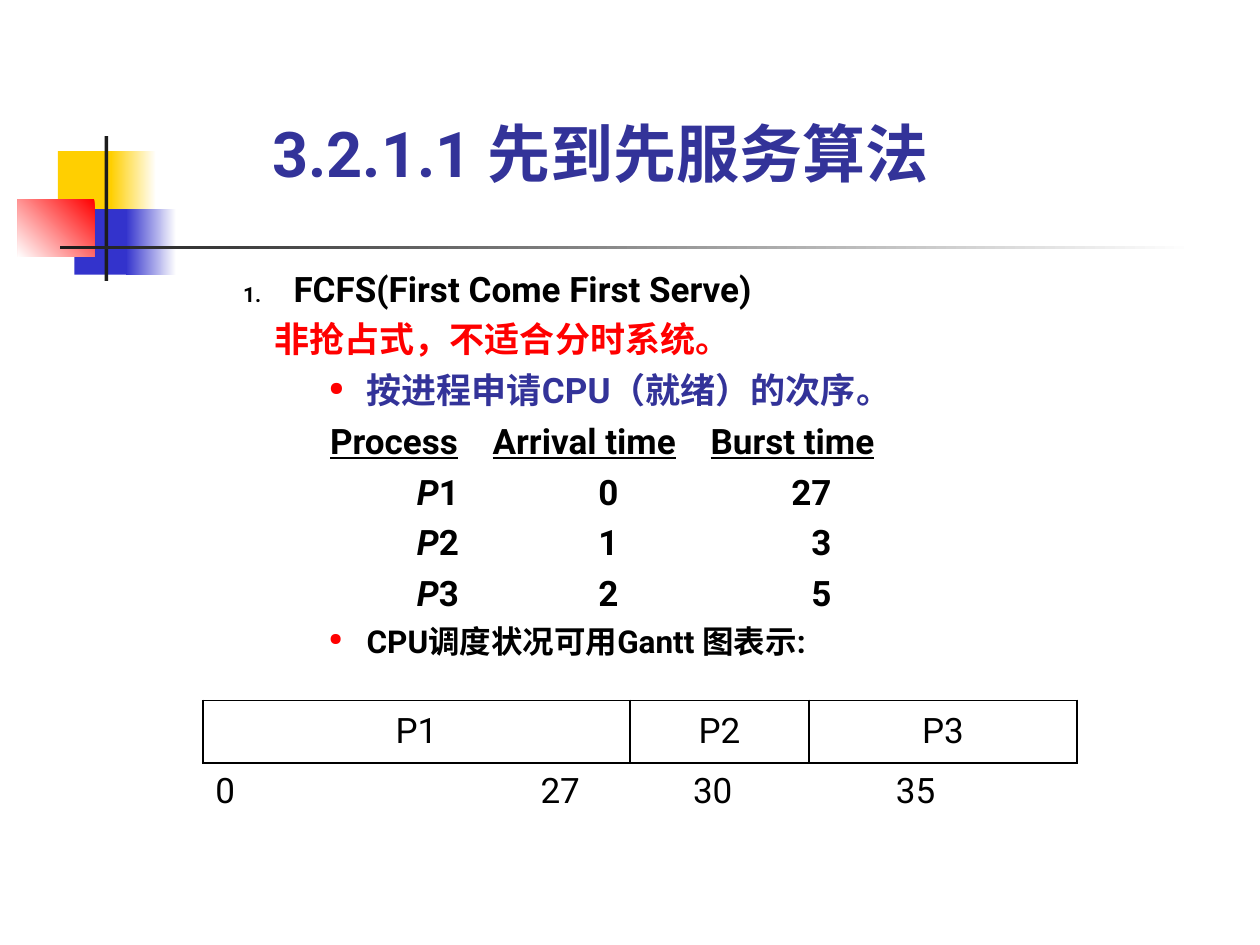
import pptx
import pptx.dml.color
import pptx.enum.shapes
import pptx.enum.text
import pptx.oxml.ns
import pptx.util
from lxml import etree

Inches = pptx.util.Inches
Pt = pptx.util.Pt
RGBColor = pptx.dml.color.RGBColor

BLACK = RGBColor(0x00, 0x00, 0x00)
CHARCOAL = RGBColor(0x1C, 0x1C, 0x1C)
WHITE = RGBColor(0xFF, 0xFF, 0xFF)
YELLOW = RGBColor(0xFF, 0xCF, 0x01)
BLUE = RGBColor(0x33, 0x33, 0xCC)
RED = RGBColor(0xFF, 0x00, 0x00)
INDIGO = RGBColor(0x33, 0x33, 0x99)

FONT = "Roboto"
BORDER_WIDTH = Pt(1.08)
HEADER_TABS = [(0.69, "l"), (1.98, "l"), (3.71, "l")]
VALUE_TABS = [(1.38, "l"), (2.82, "l"), (4.67, "r")]
TIME_TABS = [(2.58, "l"), (3.79, "l"), (5.4, "l")]
PROCESSES = [("1", 0, 27), ("2", 1, 3), ("3", 2, 5)]


def add_element(parent, tag, **attributes):
    element = etree.SubElement(parent, pptx.oxml.ns.qn(tag))
    for name, value in attributes.items():
        element.set(name, str(value))
    return element


def add_color(parent, color):
    add_element(parent, "a:srgbClr", val=color)


def add_bullet(paragraph, color, percent, tag, margin, indent, **attributes):
    """Give the paragraph a hanging bullet or number; lengths in inches."""
    properties = paragraph._p.get_or_add_pPr()
    properties.set("marL", str(Inches(margin)))
    properties.set("indent", str(Inches(-indent)))
    add_color(add_element(properties, "a:buClr"), color)
    add_element(properties, "a:buSzPct", val=percent * 1000)
    add_element(properties, tag, **attributes)


def add_tabs(paragraph, tabs):
    tab_list = add_element(paragraph._p.get_or_add_pPr(), "a:tabLst")
    for position, alignment in tabs:
        add_element(tab_list, "a:tab", pos=Inches(position), algn=alignment)


def add_run(paragraph, text, color=BLACK, **formats):
    run = paragraph.add_run()
    run.text = text
    run.font.color.rgb = color
    for name, value in ({"name": FONT, "size": Pt(20)} | formats).items():
        setattr(run.font, name, value)


def add_text_frame(slide, box, anchor):
    shape = slide.shapes.add_textbox(*map(Inches, box))
    frame = shape.text_frame
    formats = {"word_wrap": True, "vertical_anchor": anchor, "margin_left": 0,
               "margin_right": 0, "margin_top": 0, "margin_bottom": 0}
    for name, value in formats.items():
        setattr(frame, name, value)
    return frame


def add_block(slide, box, colors, angle=180):
    """Draw a borderless rectangle, solid for one colour, else a gradient."""
    shape = slide.shapes.add_shape(
        pptx.enum.shapes.MSO_SHAPE.RECTANGLE, *map(Inches, box))
    shape.shadow.inherit = False
    shape.line.fill.background()
    if len(colors) == 1:
        shape.fill.solid()
        shape.fill.fore_color.rgb = colors[0]
        return
    shape.fill.gradient()
    shape.fill.gradient_angle = angle
    for stop, color in zip(shape.fill.gradient_stops, colors):
        stop.color.rgb = color


def add_ornament(slide, left, top):
    add_block(slide, (left + 0.32, top + 0.12, 0.48, 0.52), [YELLOW])
    add_block(slide, (left + 0.74, top + 0.12, 0.36, 0.52), [WHITE, YELLOW])
    add_block(slide, (left + 0.45, top + 0.58, 0.46, 0.52), [BLUE])
    add_block(slide, (left + 0.86, top + 0.58, 0.4, 0.52), [WHITE, BLUE])
    add_block(slide, (left, top + 0.5, 0.61, 0.46), [RED, WHITE], angle=225)
    add_block(slide, (left + 0.69, top, 0.03, 1.15), [CHARCOAL])
    add_block(slide, (left + 0.34, top + 0.87, 9, 0.03), [WHITE, CHARCOAL])


def add_title(slide, box):
    frame = add_text_frame(slide, box, pptx.enum.text.MSO_ANCHOR.BOTTOM)
    add_run(frame.paragraphs[0], "3.2.1.1 先到先服务算法", INDIGO,
            size=Pt(36), bold=True)


def add_body(slide, box):
    frame = add_text_frame(slide, box, pptx.enum.text.MSO_ANCHOR.TOP)

    def next_paragraph(space=5):
        paragraph = frame.add_paragraph()
        paragraph.space_before = Pt(space)
        return paragraph

    def add_point(text, color, size, space):
        paragraph = next_paragraph(space)
        add_bullet(paragraph, RED, 55, "a:buChar", 0.98, 0.3, char="●")
        add_run(paragraph, text, color, size=Pt(size), bold=True)

    heading = frame.paragraphs[0]
    add_bullet(heading, BLACK, 60, "a:buAutoNum", 0.4, 0.4,
               type="arabicPeriod")
    add_run(heading, "FCFS(First Come First Serve)", bold=True)

    remark = next_paragraph()
    remark._p.get_or_add_pPr().set("marL", str(Inches(0.25)))
    add_run(remark, "非抢占式，不适合分时系统。", RED, bold=True)

    add_point("按进程申请CPU（就绪）的次序。", INDIGO, 20, 5)

    header = next_paragraph()
    add_tabs(header, HEADER_TABS)
    for label in ("Process", "Arrival time", "Burst time"):
        add_run(header, "\t", bold=True)
        add_run(header, label, bold=True, underline=True)

    for number, arrival, burst in PROCESSES:
        row = next_paragraph()
        add_tabs(row, VALUE_TABS)
        add_run(row, "\t", bold=True)
        add_run(row, "P", bold=True, italic=True)
        add_run(row, f"{number}\t{arrival}\t{burst}", bold=True)

    add_point("CPU调度状况可用Gantt 图表示:", BLACK, 18, 4.5)


def format_cell(cell, sides):
    """Draw the named borders (of L, R, T, B) and leave the cell unfilled."""
    properties = cell._tc.get_or_add_tcPr()
    for side in "LRTB":
        line = add_element(properties, f"a:ln{side}", w=BORDER_WIDTH)
        if side in sides:
            add_color(add_element(line, "a:solidFill"), BLACK)
        else:
            add_element(line, "a:noFill")
    cell.fill.background()
    cell.vertical_anchor = pptx.enum.text.MSO_ANCHOR.MIDDLE


def add_gantt(slide, box):
    table = slide.shapes.add_table(2, 3, *map(Inches, box)).table
    table.first_row = False
    table.horz_banding = False
    for column, width in zip(table.columns, (3.39, 1.42, 2.13)):
        column.width = Inches(width)

    for index, name in enumerate(("P1", "P2", "P3")):
        cell = table.cell(0, index)
        format_cell(cell, "LRTB")
        format_cell(table.cell(1, index), "T")
        paragraph = cell.text_frame.paragraphs[0]
        paragraph.alignment = pptx.enum.text.PP_ALIGN.CENTER
        add_run(paragraph, name)

    times = table.cell(1, 0)
    times.merge(table.cell(1, 2))
    paragraph = times.text_frame.paragraphs[0]
    paragraph.line_spacing = 0.8
    add_tabs(paragraph, TIME_TABS)
    add_run(paragraph, "0\t27\t30\t35")


def main():
    presentation = pptx.Presentation()
    presentation.slide_width = Inches(10)
    presentation.slide_height = Inches(7.5)
    slide = presentation.slides.add_slide(presentation.slide_layouts[6])
    add_ornament(slide, 0.14, 1.08)
    add_title(slide, (2.16, 0.91, 5.71, 0.6))
    add_body(slide, (1.93, 2.12, 5.83, 3.11))
    add_gantt(slide, (1.61, 5.56, 6.94, 0.99))
    presentation.save("out.pptx")


if __name__ == "__main__":
    main()
